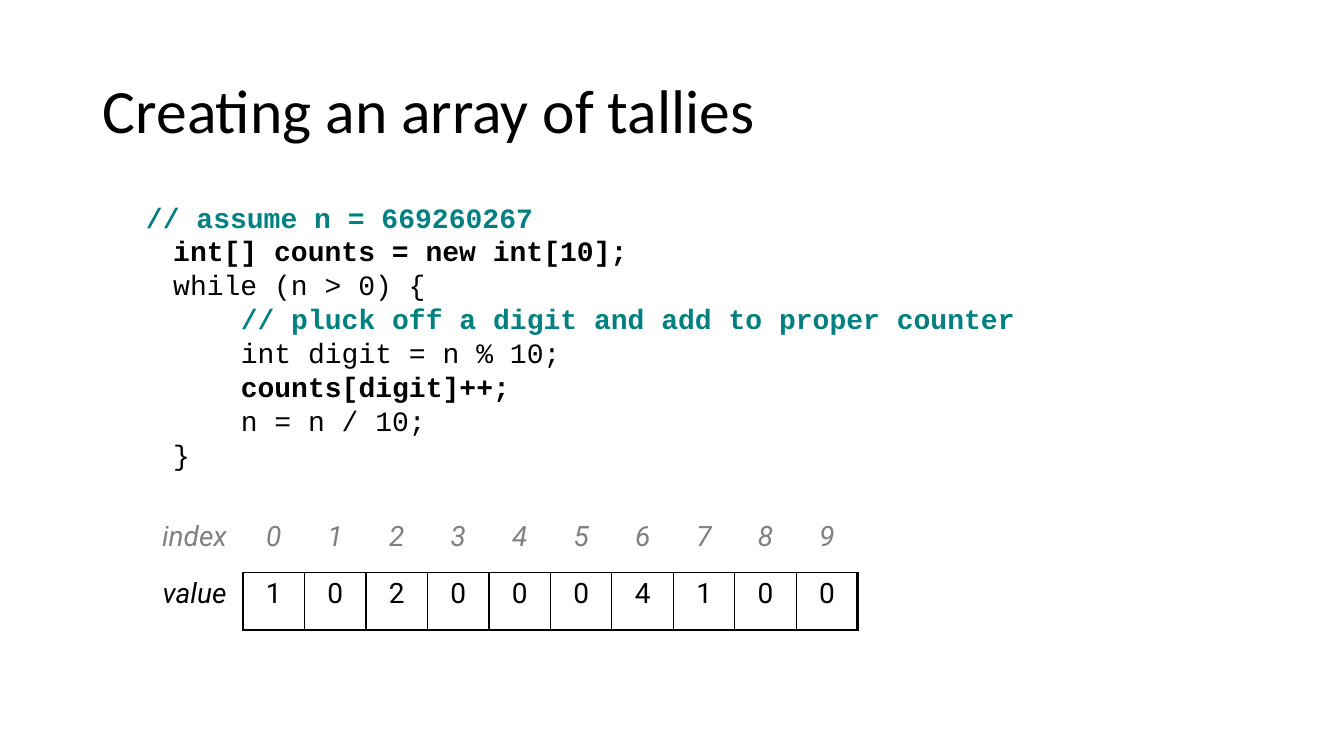
from lxml import etree
from pptx import Presentation
from pptx.dml.color import RGBColor
from pptx.enum.text import MSO_ANCHOR, PP_ALIGN
from pptx.oxml.ns import qn
from pptx.util import Inches, Pt

MIDDLE, CENTER, LEFT = MSO_ANCHOR.MIDDLE, PP_ALIGN.CENTER, PP_ALIGN.LEFT
BLACK, TEAL, GRAY = "000000", "008080", "808080"
THIN, THICK = 1, 2.25

TITLE = "Creating an array of tallies"
NOTE = {"color": TEAL, "bold": True}
KEY = {"bold": True}
PLAIN = {}
# Left margin in inches, text, format
CODE = [
    (0.43, "// assume n = 669260267", NOTE),
    (0.7, "int[] counts = new int[10];", KEY),
    (0.7, "while (n > 0) {", PLAIN),
    (1.37, "// pluck off a digit and add to proper counter", NOTE),
    (1.37, "int digit = n % 10;", PLAIN),
    (1.37, "counts[digit]++;", KEY),
    (1.37, "n = n / 10;", PLAIN),
    (0.7, "}", PLAIN),
]
COUNTS = [1, 0, 2, 0, 0, 0, 4, 1, 0, 0]
ROWS = [["index", *range(len(COUNTS))], ["value", *COUNTS]]
HEAD_W, DIGIT_W, ROW_H = 0.96, 0.61, 0.57


def paint(font, color):
    """Set a font colour from a hex string."""
    font.color.rgb = RGBColor.from_string(color)


def write(para, text, font="Courier New", size=20, color=BLACK, bold=False,
          italic=False, align=LEFT, line=None, before=0, margin=0):
    """Put formatted text into a paragraph."""
    run = para.add_run()
    run.text = str(text)
    run.font.name, run.font.size = font, Pt(size)
    run.font.bold, run.font.italic = bold, italic
    paint(run.font, color)
    para.alignment, para.space_before = align, Pt(before)
    para.line_spacing = line
    props = para._p.get_or_add_pPr()
    props.set("marL", str(Inches(margin)))
    props.set("indent", "0")


def border(cell, sides):
    """Draw the given cell sides in black and hide the others."""
    props = cell._tc.get_or_add_tcPr()
    for side in "LRTB":
        width = sides.get(side, 0)
        line = etree.SubElement(props, qn(f"a:ln{side}"), w=str(Pt(width)))
        if width:
            fill = etree.SubElement(line, qn("a:solidFill"))
            etree.SubElement(fill, qn("a:srgbClr"), val=BLACK)
        else:
            etree.SubElement(line, qn("a:noFill"))


def edges(row, col):
    """Return the visible sides of a table cell; only counts are boxed."""
    last = col == len(COUNTS)
    if col == 0:
        return {"R": THIN} if row else {}
    if row == 0:
        return {"B": THIN}
    return {"L": THIN, "T": THIN, "R": THICK if last else THIN, "B": THICK}


def add_title(slide):
    """Place the title."""
    title = slide.shapes.title
    title.left, title.top = Inches(0.92), Inches(0.4)
    title.width, title.height = Inches(11.5), Inches(1.45)
    title.text_frame.vertical_anchor = MIDDLE
    write(title.text_frame.paragraphs[0], TITLE, font="Calibri", size=44,
          line=0.9)


def add_code(slide):
    """Place the code, one paragraph a line."""
    box = slide.shapes.add_textbox(Inches(0.92), Inches(2), Inches(11.5),
                                   Inches(4.76))
    frame = box.text_frame
    frame.word_wrap = True
    for i, (margin, text, look) in enumerate(CODE):
        para = frame.add_paragraph() if i else frame.paragraphs[0]
        write(para, text, margin=margin, line=0.8, before=5, **look)


def add_array(slide):
    """Place the table of indexes and values."""
    width = HEAD_W + DIGIT_W * len(COUNTS)
    table = slide.shapes.add_table(
        len(ROWS), len(ROWS[0]), Inches(1.45), Inches(5.11), Inches(width),
        Inches(ROW_H * len(ROWS))).table
    table.first_row = table.horz_banding = False
    for c, column in enumerate(table.columns):
        column.width = Inches(DIGIT_W if c else HEAD_W)
    for r, values in enumerate(ROWS):
        table.rows[r].height = Inches(ROW_H)
        for c, value in enumerate(values):
            cell = table.cell(r, c)
            border(cell, edges(r, c))
            cell.fill.background()
            write(cell.text_frame.paragraphs[0], value, font="Roboto",
                  color=BLACK if r else GRAY, italic=r == 0 or c == 0,
                  align=CENTER)


deck = Presentation()
deck.slide_width, deck.slide_height = Inches(13.33), Inches(7.5)
page = deck.slides.add_slide(deck.slide_layouts[5])
add_title(page)
add_code(page)
add_array(page)
deck.save("out.pptx")
